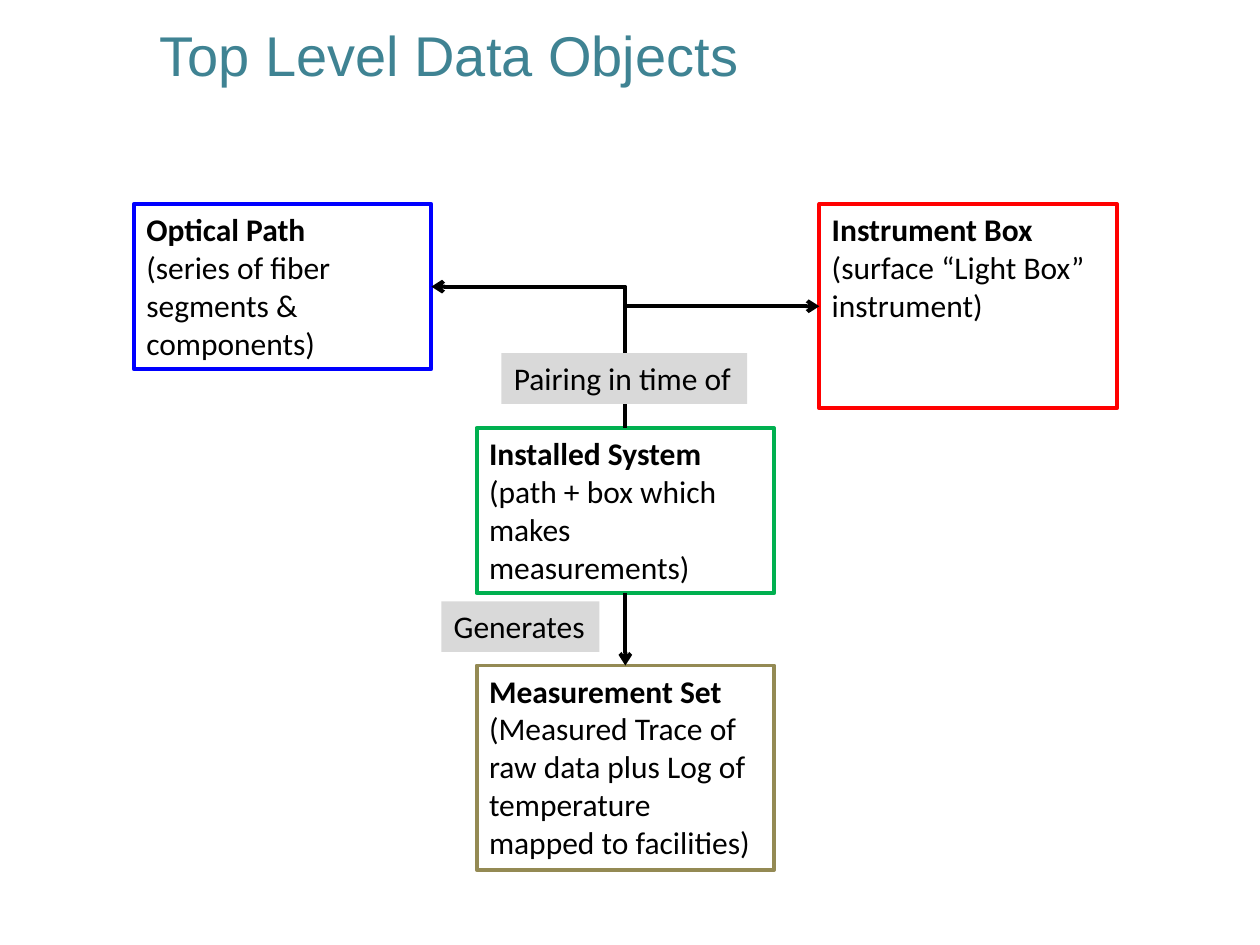
from lxml import etree
from pptx import Presentation
from pptx.dml.color import RGBColor
from pptx.enum.shapes import MSO_CONNECTOR as LINK
from pptx.enum.text import MSO_ANCHOR
from pptx.oxml.ns import qn
from pptx.util import Pt

COLORS = {
    "title": "3F8393", "text": "000000", "label": "D9D9D9",
    "path": "0000FF", "instrument": "FF0000",
    "system": "00B050", "measurement": "948A54",
}
BOX_WIDTH, COLUMN_PITCH = 170, 195.85
SHORT, TALL = 94.4, 116.8
LINE_WIDTH = Pt(2.25)
TOP, LEFT, BOTTOM, RIGHT = range(4)  # connection sites of a rectangle


def color(name):
    return RGBColor.from_string(COLORS[name])


def add_span(para, text, size=18, font="Calibri", ink="text", bold=False):
    span = para.add_run()
    span.text = text
    span.font.size, span.font.name, span.font.bold = Pt(size), font, bold
    span.font.color.rgb = color(ink)


def add_text_box(page, left, top, width, height, wrap=True):
    box = page.shapes.add_textbox(Pt(left), Pt(top), Pt(width), Pt(height))
    box.text_frame.word_wrap = wrap
    return box


def add_title(page, left, top, width, height, text):
    frame = add_text_box(page, left, top, width, height).text_frame
    frame.vertical_anchor = MSO_ANCHOR.MIDDLE
    add_span(frame.paragraphs[0], text, 32, "Arial", "title")


def add_object(page, left, top, height, ink, name, description):
    """Outlined box with a bold name above its description."""
    box = add_text_box(page, left, top, BOX_WIDTH, height)
    box.line.color.rgb, box.line.width = color(ink), LINE_WIDTH
    add_span(box.text_frame.paragraphs[0], name, bold=True)
    add_span(box.text_frame.add_paragraph(), description)
    return box


def add_label(page, left, top, width, text):
    box = add_text_box(page, left, top, width, 29, wrap=False)
    box.fill.solid()
    box.fill.fore_color.rgb = color("label")
    add_span(box.text_frame.paragraphs[0], text)


def add_arrow(page, target, target_site, source, source_site, bent=False):
    """Connector glued to both boxes, with its arrowhead at the target."""
    kind = LINK.ELBOW if bent else LINK.STRAIGHT
    arrow = page.shapes.add_connector(kind, 0, 0, 0, 0)
    arrow.begin_connect(target, target_site)
    arrow.end_connect(source, source_site)
    arrow.line.color.rgb, arrow.line.width = color("text"), LINE_WIDTH
    properties = arrow._element.spPr
    if bent:  # a single corner
        properties.find(qn("a:prstGeom")).set("prst", "bentConnector2")
    etree.SubElement(properties.find(qn("a:ln")), qn("a:headEnd"), type="arrow")
    etree.SubElement(properties, qn("a:effectLst"))


def add_diagram(page, left, top):
    columns = [left + COLUMN_PITCH * i for i in range(3)]
    optical_path = add_object(page, columns[0], top, SHORT, "path", "Optical Path",
                              "(series of fiber segments & components)")
    instrument = add_object(page, columns[2], top, TALL, "instrument", "Instrument Box",
                            "(surface “Light Box” instrument)")
    system = add_object(page, columns[1], top + 128, SHORT, "system", "Installed System",
                        "(path + box which makes measurements)")
    measurement = add_object(page, columns[1], top + 263.7, TALL, "measurement",
                             "Measurement Set",
                             "(Measured Trace of raw data plus Log of temperature "
                             "mapped to facilities)")
    add_arrow(page, instrument, LEFT, system, TOP, bent=True)
    add_arrow(page, optical_path, RIGHT, system, TOP, bent=True)
    add_arrow(page, measurement, TOP, system, BOTTOM)
    add_label(page, left + 210, top + 85.2, 140.4, "Pairing in time of")
    add_label(page, left + 175.7, top + 227, 90.3, "Generates")


def main():
    deck = Presentation()
    deck.slide_width, deck.slide_height = Pt(720), Pt(540)
    page = deck.slides.add_slide(deck.slide_layouts[6])
    add_title(page, 84, 6, 600, 50, "Top Level Data Objects")
    add_diagram(page, 76.5, 116.6)
    deck.save("out.pptx")


if __name__ == "__main__":
    main()
